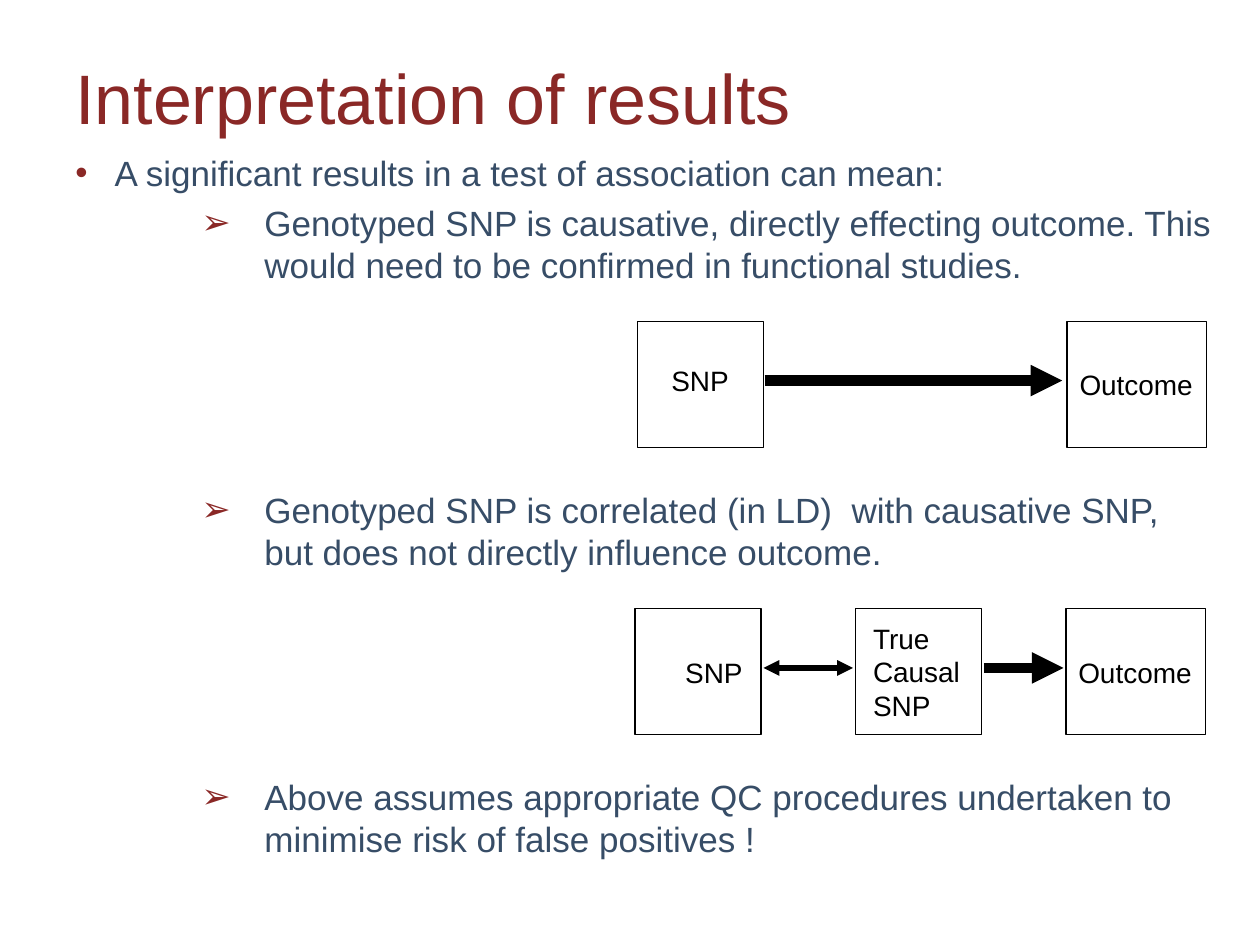
from lxml import etree
from pptx import Presentation
from pptx.dml.color import RGBColor
from pptx.enum import shapes, text
from pptx.oxml import ns
from pptx.util import Pt

RED, BLUE, BLACK = "8A2826", "374D67", "000000"
TITLE = "Interpretation of results"
POINTS = [
    ("A significant results in a test of association can mean:", "•", 58.5, -22.5, 4.6),
    ("Genotyped SNP is causative, directly effecting outcome. "
     "This would need to be confirmed in functional studies.", "➢", 144, -36, 4.6),
    ("Genotyped SNP is correlated (in LD)  with causative SNP, "
     "but does not directly influence outcome.", "➢", 144, -36, 116),
    ("Above assumes appropriate QC procedures undertaken to "
     "minimise risk of false positives !", "➢", 144, -36, 116),
]
BOX_HEIGHT = 72
DIAGRAMS = [
    {"top": 183.6,
     "boxes": [(364.3, 72), (609.8, 79.5)],
     "labels": [("SNP", 376.6, 20.9, 47.5), ("Outcome", 609.8, 23, 79.9)],
     "arrows": [(437, 607, 6, ["tailEnd"])]},
    {"top": 347.8,
     "boxes": [(362.9, 72), (488.9, 72), (609.1, 79.9)],
     "labels": [("SNP", 384.5, 23, 47.5), ("True\nCausal\nSNP", 491.8, 3.6, 69.1),
                ("Outcome", 609.1, 23, 79.9)],
     "arrows": [(562.3, 607.7, 6, ["tailEnd"]),
                (436.3, 487.4, 3, ["headEnd", "tailEnd"])]},
]


def color(value):
    return RGBColor.from_string(value)


def add_xml(parent, tag, **attributes):
    return etree.SubElement(parent, ns.qn(tag), attributes)


def add_text(page, words, left, top, width, height, size, ink, wrap=True):
    box = page.shapes.add_textbox(Pt(left), Pt(top), Pt(width), Pt(height))
    frame = box.text_frame
    frame.text = words
    frame.word_wrap = wrap
    for para in frame.paragraphs:
        for span in para.runs:
            span.font.name = "Arial"
            span.font.size = Pt(size)
            span.font.color.rgb = color(ink)
    return frame


def add_title(page):
    frame = add_text(page, TITLE, 36, 21.6, 648, 67, 40, RED)
    frame.vertical_anchor = text.MSO_ANCHOR.MIDDLE
    props = frame.paragraphs[0].runs[0].font._element
    effects = etree.Element(ns.qn("a:effectLst"))
    shadow = add_xml(effects, "a:outerShdw", dist="25400", dir="2700000")
    add_xml(shadow, "a:srgbClr", val=BLUE)
    props.find(ns.qn("a:solidFill")).addnext(effects)


def add_points(page):
    words = "\n".join(point[0] for point in POINTS)
    frame = add_text(page, words, 0, 82.8, 701.3, 425.5, 20, BLUE)
    for para, (_, mark, margin, indent, gap) in zip(frame.paragraphs, POINTS):
        para.space_before = Pt(gap)
        props = para._p.get_or_add_pPr()
        props.set("marL", str(Pt(margin)))
        props.set("indent", str(Pt(indent)))
        add_xml(add_xml(props, "a:buClr"), "a:srgbClr", val=RED)
        add_xml(props, "a:buFont", typeface="Arial")
        add_xml(props, "a:buChar", char=mark)


def add_arrow(page, start, end, y, weight, heads):
    arrow = page.shapes.add_connector(
        shapes.MSO_CONNECTOR.STRAIGHT, Pt(start), Pt(y), Pt(end), Pt(y))
    arrow.line.color.rgb = color(BLACK)
    arrow.line.width = Pt(weight)
    line = arrow.line._get_or_add_ln()
    for head in heads:
        add_xml(line, "a:" + head, type="triangle")
    add_xml(arrow._element.spPr, "a:effectLst")


def add_diagram(page, diagram):
    top = diagram["top"]
    for left, width in diagram["boxes"]:
        box = page.shapes.add_shape(
            shapes.MSO_SHAPE.RECTANGLE, Pt(left), Pt(top), Pt(width), Pt(BOX_HEIGHT))
        box.shadow.inherit = False
        box.fill.background()
        box.line.color.rgb = color(BLACK)
        box.line.width = Pt(0.75)
    for words, left, drop, width in diagram["labels"]:
        height = 7.2 + 19.4 * len(words.split("\n"))
        add_text(page, words, left, top + drop, width, height, 16, BLACK, wrap=False)
    for start, end, weight, heads in diagram["arrows"]:
        add_arrow(page, start, end, top + 33.9, weight, heads)


def main():
    deck = Presentation()
    deck.slide_width, deck.slide_height = Pt(720), Pt(540)
    page = deck.slides.add_slide(deck.slide_layouts[6])
    add_title(page)
    for diagram in DIAGRAMS:
        add_diagram(page, diagram)
    add_points(page)
    deck.save("out.pptx")


if __name__ == "__main__":
    main()
